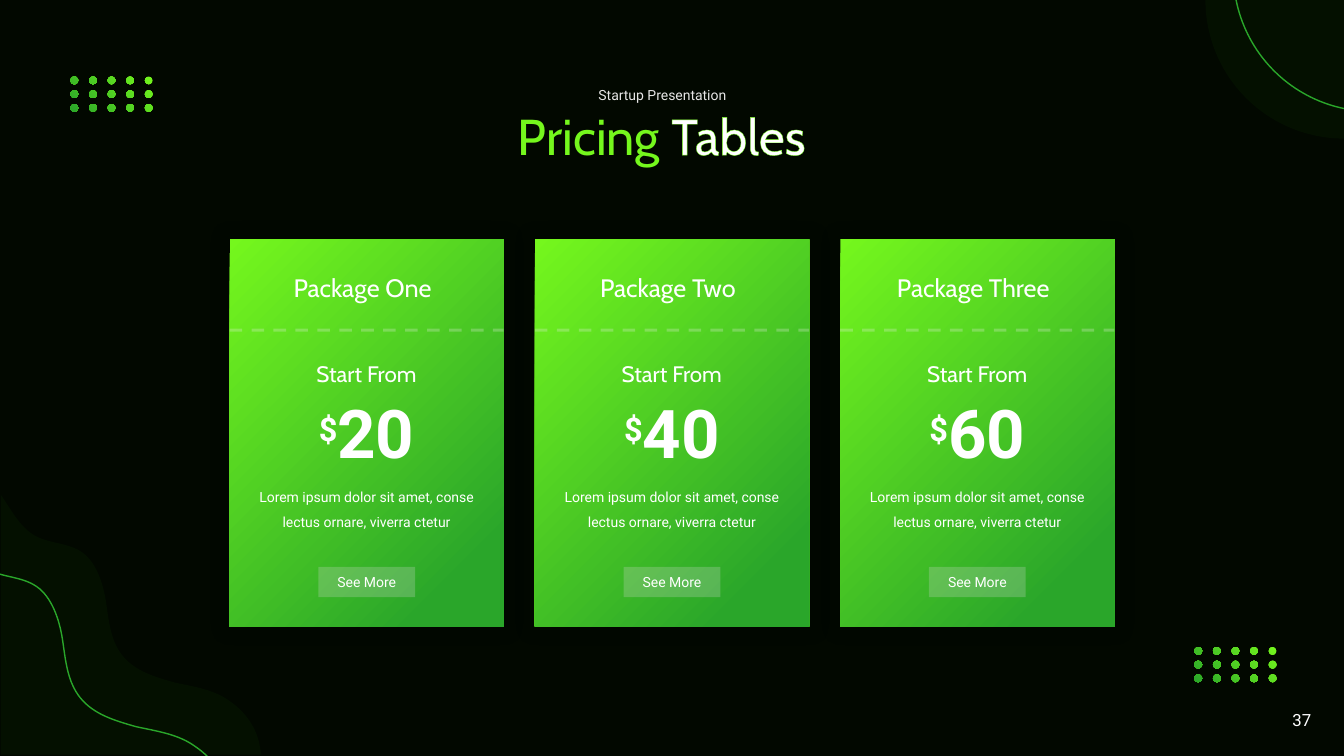
from lxml.etree import SubElement
from pptx import Presentation
from pptx.dml.color import RGBColor
from pptx.enum.dml import MSO_LINE
from pptx.enum.shapes import MSO_CONNECTOR, MSO_SHAPE
from pptx.enum.text import MSO_ANCHOR, MSO_AUTO_SIZE, PP_ALIGN
from pptx.oxml import parse_xml
from pptx.oxml.ns import nsdecls, qn
from pptx.util import Pt

BLACK_GREEN = RGBColor(0x02, 0x08, 0x00)
DEEP_GREEN = RGBColor(0x04, 0x10, 0x00)
GREEN = RGBColor(0x2A, 0xA6, 0x2A)
LIME = RGBColor(0x75, 0xF7, 0x1D)
WHITE = RGBColor(0xFF, 0xFF, 0xFF)
PALE = RGBColor(0xE7, 0xE6, 0xE6)
DASH = RGBColor(0xF2, 0xF2, 0xF2)
BUTTON = RGBColor(0xD9, 0xD9, 0xD9)

WAVE_WIDTH, WAVE_HEIGHT = 186, 185.5
WAVE_START = (2, 3)
WAVE_CURVES = [
    ((8, 12), (14, 23), (24, 29)),
    ((35, 35), (48, 34), (58, 41)),
    ((68, 48), (73, 63), (75, 76)),
    ((77, 89), (78, 104), (87, 115)),
    ((96, 126), (110, 130), (124, 134)),
    ((138, 137), (152, 139), (163, 147)),
    ((175, 155), (183, 167), (185, 180)),
]
PACKAGES = [("Package One", "20"), ("Package Two", "40"), ("Package Three", "60")]
BLURB = "Lorem ipsum dolor sit amet, conse lectus ornare, viverra ctetur"


def add_outline(s, *contours):
    """Build one freeform from closed contours given in points."""
    emu = [[(Pt(x), Pt(y)) for x, y in contour] for contour in contours]
    builder = s.shapes.build_freeform(*emu[0][0], scale=1.0)
    for i, contour in enumerate(emu):
        if i:
            builder.move_to(*contour[0])
        builder.add_line_segments(contour[1:], close=True)
    sp = builder.convert_to_shape()
    sp.shadow.inherit = False
    return sp


def segments(sp):
    return list(sp._element.iter(qn("a:lnTo")))


def bend_to_arc(segment, radius, start, sweep):
    """Turn a straight segment into a circular arc; angles in degrees."""
    segment.getparent().replace(segment, parse_xml(
        f'<a:arcTo {nsdecls("a")} wR="{Pt(radius)}" hR="{Pt(radius)}" '
        f'stAng="{start * 60000}" swAng="{sweep * 60000}"/>'))


def join_to_curve(first, second, end):
    """Turn three straight segments into one cubic curve."""
    curve = parse_xml(f'<a:cubicBezTo {nsdecls("a")}/>')
    first.addprevious(curve)
    for segment in (first, second, end):
        curve.append(segment[0])
        segment.getparent().remove(segment)


def paint(sp, fill=None, line=None):
    if fill is None:
        sp.fill.background()
    else:
        sp.fill.solid()
        sp.fill.fore_color.rgb = fill
    if line is None:
        sp.line.fill.background()
    else:
        sp.line.color.rgb = line
        sp.line.width = Pt(1)


def paint_gradient(sp, angle, end=1.0):
    sp.line.fill.background()
    sp.fill.gradient()
    sp.fill.gradient_angle = angle
    for stop, color, position in zip(sp.fill.gradient_stops, (LIME, GREEN), (0, end)):
        stop.color.rgb = color
        stop.position = position


def set_alpha(element, percent):
    color = next(element.iter(qn("a:srgbClr")))
    SubElement(color, qn("a:alpha")).set("val", str(percent * 1000))


def format_text(sp, sizes, font, colors, align=PP_ALIGN.CENTER):
    tf = sp.text_frame
    tf.margin_left = tf.margin_right = tf.margin_top = tf.margin_bottom = Pt(3.6)
    p = tf.paragraphs[0]
    p.alignment = align
    for r, size, color in zip(p.runs, sizes, colors):
        r.font.size = Pt(size)
        r.font.name = font
        r.font.color.rgb = color


def add_text(s, box, texts, sizes, font="Roboto", colors=(WHITE, WHITE),
             align=PP_ALIGN.CENTER, wrap=True):
    """Add a text box whose single paragraph has one run per text."""
    sp = s.shapes.add_textbox(*map(Pt, box))
    tf = sp.text_frame
    tf.word_wrap = wrap
    tf.auto_size = MSO_AUTO_SIZE.SHAPE_TO_FIT_TEXT
    for text in texts:
        tf.paragraphs[0].add_run().text = text
    format_text(sp, sizes, font, colors, align)
    return sp


def add_wave(s, left, top, width, **colors):
    k = width / WAVE_WIDTH
    points = [(0, WAVE_HEIGHT), (0, 0), WAVE_START,
              *(point for curve in WAVE_CURVES for point in curve),
              (WAVE_WIDTH, WAVE_HEIGHT)]
    wave = add_outline(s, [(left + k * x, top + k * y) for x, y in points])
    controls = segments(wave)[2:-1]
    for i in range(0, len(controls), 3):
        join_to_curve(*controls[i:i + 3])
    paint(wave, **colors)


def add_quarter_disc(s, left, top, radius, **colors):
    right = left + radius
    disc = add_outline(s, [(right, top), (left, top), (right, top + radius)])
    bend_to_arc(segments(disc)[1], radius, 180, -90)
    paint(disc, **colors)


def add_dots(s, left, top, columns=5, rows=3, radius=2.75):
    dots = []
    for row in range(rows):
        for column in range(columns):
            x, y = left + radius + 13.28 * column, top + radius + 9.8 * row
            dots.append([(x - radius, y), (x, y - radius), (x + radius, y),
                         (x, y + radius), (x - radius, y)])
    sp = add_outline(s, *dots)
    for i, segment in enumerate(segments(sp)):
        bend_to_arc(segment, radius, (180 + 90 * i) % 360, 90)
    paint_gradient(sp, 225)


def add_heading(s, left, top, width):
    add_text(s, (left + 85, top, 99.4, 19.4), ["Startup Presentation"], [10],
             colors=[PALE], wrap=False)
    title = add_text(s, (left, top + 13, width, 50.4), ["Pricing ", "Tables"], [36, 36],
                     "Cabin", (LIME, WHITE))
    for r in title.text_frame.paragraphs[0].runs:
        r._r.get_or_add_rPr().insert(0, parse_xml(
            f'<a:ln {nsdecls("a")} w="9525"><a:solidFill><a:srgbClr val="{LIME}"/>'
            '</a:solidFill></a:ln>'))


def add_card(s, left, top, width, height, name, price):
    card = s.shapes.add_shape(MSO_SHAPE.RECTANGLE, Pt(left), Pt(top), Pt(width), Pt(height))
    paint_gradient(card, 315, 0.86)
    card.shadow.inherit = False
    card._element.spPr.find(qn("a:effectLst")).append(parse_xml(
        f'<a:outerShdw {nsdecls("a")} blurRad="{Pt(15)}" dist="0" dir="0">'
        '<a:srgbClr val="000000"><a:alpha val="25000"/></a:srgbClr></a:outerShdw>'))

    x, w = left + 11.4, 172.8
    add_text(s, (x, top + 82.8, w, 25.9), ["Start From"], [16], "Cabin")
    amount = add_text(s, (left + 59.8, top + 105.1, 76.3, 65.5), ["$", price], [40, 48],
                      wrap=False)
    for r, baseline in zip(amount.text_frame.paragraphs[0].runs, ("30000", "0")):
        r.font.bold = True
        r._r.get_or_add_rPr().set("baseline", baseline)
    blurb = add_text(s, (x, top + 168.5, w, 37.4), [BLURB], [10])
    blurb.text_frame.paragraphs[0].line_spacing = 1.5

    button = s.shapes.add_shape(MSO_SHAPE.RECTANGLE, Pt(left + 63.4), Pt(top + 234),
                                Pt(69.1), Pt(21.6))
    button.shadow.inherit = False
    paint(button, BUTTON)
    set_alpha(button._element.spPr, 25)
    button.text_frame.text = "See More"
    button.text_frame.vertical_anchor = MSO_ANCHOR.MIDDLE
    format_text(button, [10], "Roboto", [WHITE])

    y = Pt(top + 64.8)
    rule = s.shapes.add_connector(MSO_CONNECTOR.STRAIGHT, Pt(left), y, Pt(left + width), y)
    rule.line.color.rgb = DASH
    rule.line.width = Pt(2.25)
    rule.line.dash_style = MSO_LINE.DASH
    set_alpha(rule._element.spPr, 25)
    SubElement(rule._element.spPr, qn("a:effectLst"))
    add_text(s, (left + 8.6, top + 20.2, w, 29.5), [name], [18], "Cabin")


def main():
    prs = Presentation()
    prs.slide_width, prs.slide_height = Pt(960), Pt(540)
    s = prs.slides.add_slide(prs.slide_layouts[6])
    s.background.fill.solid()
    s.background.fill.fore_color.rgb = BLACK_GREEN

    add_wave(s, 0.7, 353.5, 186, fill=DEEP_GREEN)
    add_wave(s, -36, 375, 200, line=GREEN)
    add_dots(s, 50.4, 54.7)
    add_dots(s, 853.2, 462.2)
    add_quarter_disc(s, 861, 0, 99, fill=DEEP_GREEN)
    add_quarter_disc(s, 881, -19.4, 99, line=GREEN)
    for i, (name, price) in enumerate(PACKAGES):
        add_card(s, 164 + 218.1 * i, 171, 195.8, 276.5, name, price)
    add_heading(s, 338.4, 58.3, 268.6)
    page = add_text(s, (716.4, 499.7, 223.9, 28.8), ["37"], [12],
                    align=PP_ALIGN.RIGHT, wrap=False)
    page.text_frame.vertical_anchor = MSO_ANCHOR.MIDDLE
    prs.save("out.pptx")


if __name__ == "__main__":
    main()
